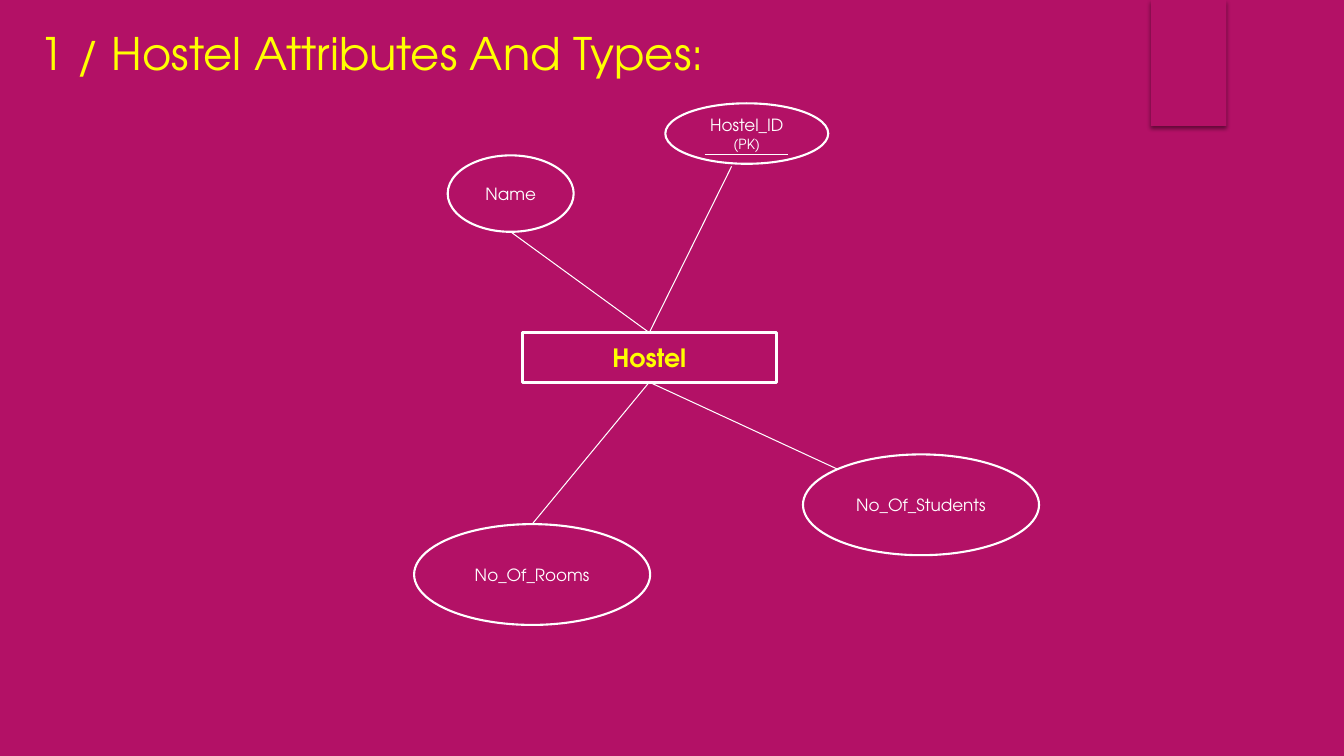
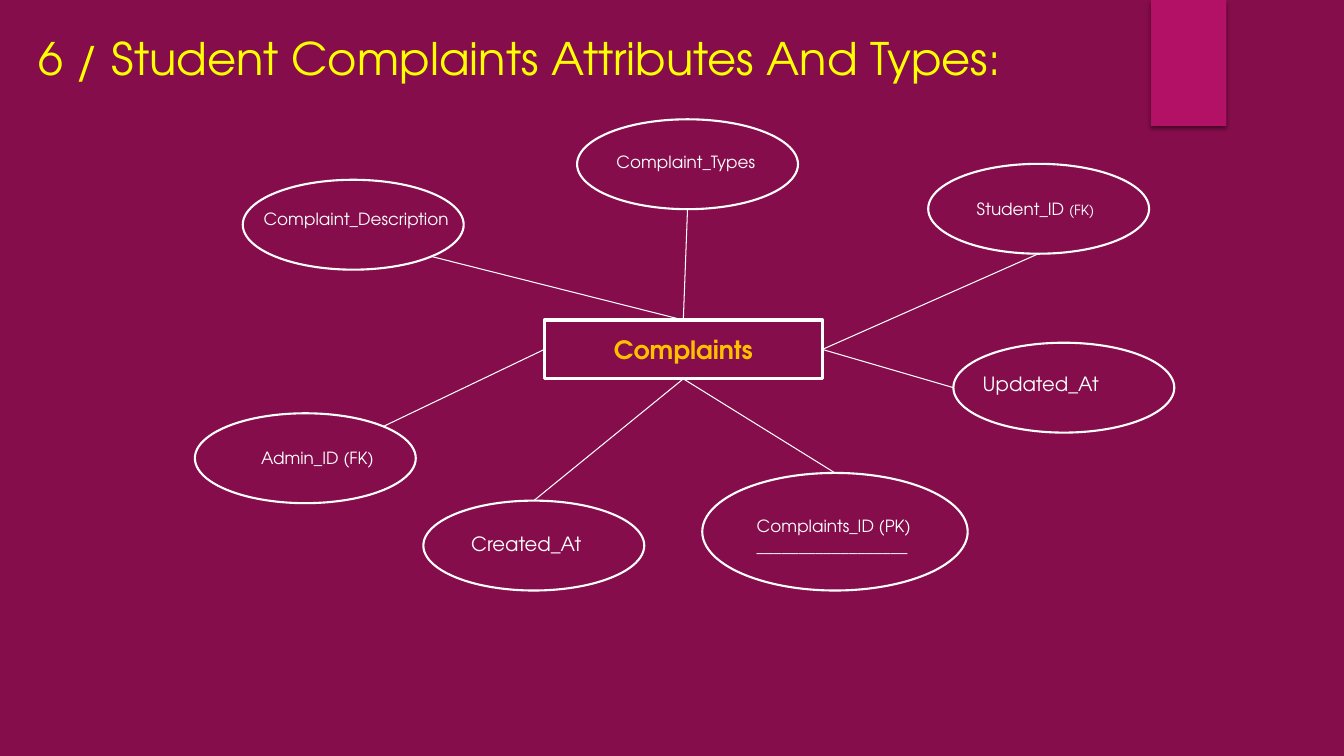
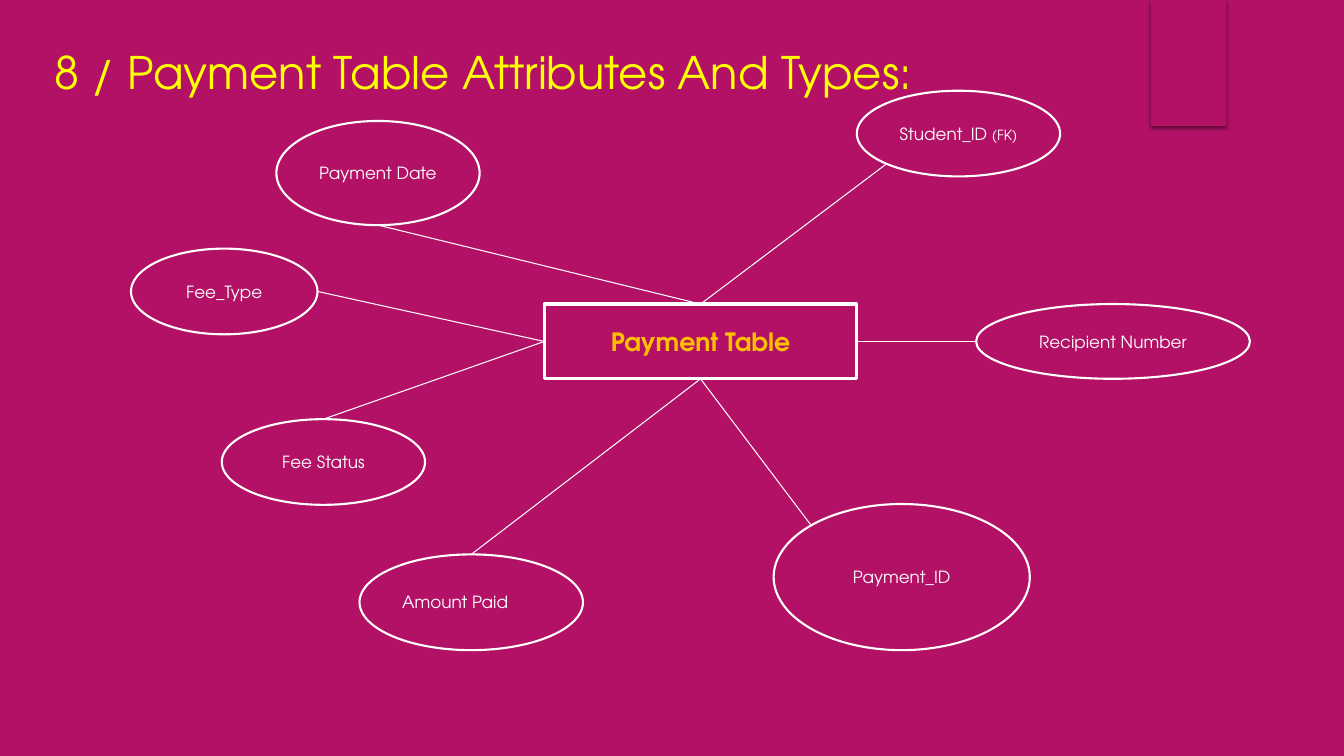
from dataclasses import dataclass
from math import cos, radians, sin

from lxml import etree
from pptx import Presentation
from pptx.dml.color import RGBColor
from pptx.enum.shapes import MSO_CONNECTOR, MSO_SHAPE
from pptx.enum.text import MSO_ANCHOR, PP_ALIGN
from pptx.oxml.ns import qn
from pptx.util import Inches, Pt

RECTANGLE, ELLIPSE = MSO_SHAPE.RECTANGLE, MSO_SHAPE.OVAL
STRAIGHT = MSO_CONNECTOR.STRAIGHT
MIDDLE = MSO_ANCHOR.MIDDLE
LEFT, CENTER = PP_ALIGN.LEFT, PP_ALIGN.CENTER

# Sides of the entity box, as connection sites
TOP_SIDE, LEFT_SIDE, BOTTOM_SIDE, RIGHT_SIDE = range(4)

# Places on an attribute's ellipse, in degrees clockwise from the right
EAST, SOUTH_EAST, SOUTH, SOUTH_WEST, WEST, NORTH_WEST, NORTH, NORTH_EAST = range(0, 360, 45)

SLIDE_WIDTH, SLIDE_HEIGHT = Inches(13.33), Inches(7.5)
COLUMNS, ROWS = 16, 9
RIBBON_BOX = (13.7, 0, 0.9, 1.5)


@dataclass(frozen=True)
class Theme:
    font: str = "TeX Gyre Adventor"
    magenta: str = "B31166"
    plum: str = "860D4C"
    yellow: str = "FFFF00"
    amber: str = "FFC000"
    white: str = "FFFFFF"
    title_size: int = 32
    entity_size: int = 18
    stamp_size: int = 14
    label_size: int = 12
    key_size: int = 10
    entity_line: float = 2.25
    attribute_line: float = 1.5
    link_line: float = 0.75


THEME = Theme()


@dataclass(frozen=True)
class Attribute:
    """An ellipse linked to the entity; label_box moves its text out of the centre."""
    label: str
    box: tuple
    side: int
    place: int
    key: str = ""
    label_box: tuple = None
    size: int = THEME.label_size
    spacing: float = 1.0
    align: int = CENTER
    link_end: tuple = None

    def end_point(self):
        if self.link_end:
            return self.link_end
        left, top, width, height = self.box
        angle = radians(self.place)
        return (left + width / 2 * (1 + cos(angle)),
                top + height / 2 * (1 + sin(angle)))


@dataclass(frozen=True)
class Diagram:
    background: str
    title: str
    title_box: tuple
    entity: str
    entity_box: tuple
    entity_color: str
    attributes: tuple
    underlines: tuple = ()


def col(count):
    return round(SLIDE_WIDTH * count / COLUMNS)


def row(count):
    return round(SLIDE_HEIGHT * count / ROWS)


def place(box):
    left, top, width, height = box
    return col(left), row(top), col(width), row(height)


def rgb(color):
    return RGBColor.from_string(color)


def style_run(run, size, color, bold=False):
    font = run.font
    font.name, font.size, font.bold = THEME.font, Pt(size), bold
    font.color.rgb = rgb(color)


def write(frame, text, size, color, bold=False, align=LEFT, key="", spacing=1.0):
    """Fill a text frame; key is a smaller run after the text."""
    frame.text = text
    if key:
        frame.paragraphs[-1].add_run().text = key
    for paragraph in frame.paragraphs:
        paragraph.alignment = align
        paragraph.line_spacing = spacing
        for run in paragraph.runs:
            style_run(run, size, color, bold)
    if key:
        frame.paragraphs[-1].runs[-1].font.size = Pt(THEME.key_size)


def add_text(slide, box, text, size, color, **style):
    frame = slide.shapes.add_textbox(*place(box)).text_frame
    frame.word_wrap = True
    write(frame, text, size, color, **style)


def add_outline(slide, kind, box, line_width):
    shape = slide.shapes.add_shape(kind, *place(box))
    shape.shadow.inherit = False
    shape.fill.background()
    shape.line.color.rgb = rgb(THEME.white)
    shape.line.width = Pt(line_width)
    shape.text_frame.vertical_anchor = MIDDLE
    return shape


def add_line(slide, start, end):
    line = slide.shapes.add_connector(
        STRAIGHT, col(start[0]), row(start[1]), col(end[0]), row(end[1]))
    line.line.color.rgb = rgb(THEME.white)
    line.line.width = Pt(THEME.link_line)
    etree.SubElement(line._element.spPr, qn("a:effectLst"))
    return line


def add_ribbon(slide):
    ribbon = slide.shapes.add_shape(RECTANGLE, *place(RIBBON_BOX))
    ribbon.fill.solid()
    ribbon.fill.fore_color.rgb = rgb(THEME.magenta)
    ribbon.line.fill.background()
    effects = etree.SubElement(ribbon._element.spPr, qn("a:effectLst"))
    shadow = etree.SubElement(effects, qn("a:outerShdw"), blurRad=str(Pt(3)),
                              dist=str(Pt(2)), dir="5400000", rotWithShape="0")
    black = etree.SubElement(shadow, qn("a:srgbClr"), val="000000")
    etree.SubElement(black, qn("a:alpha"), val="45000")


def add_attribute(slide, attribute, entity):
    ellipse = add_outline(slide, ELLIPSE, attribute.box, THEME.attribute_line)
    style = dict(key=attribute.key, spacing=attribute.spacing)
    if attribute.label_box:
        add_text(slide, attribute.label_box, attribute.label, attribute.size,
                 THEME.white, **style)
    else:
        write(ellipse.text_frame, attribute.label, attribute.size, THEME.white,
              align=attribute.align, **style)
    end = attribute.end_point()
    add_line(slide, (0, 0), end).begin_connect(entity, attribute.side)


def add_diagram(deck, diagram):
    slide = deck.slides.add_slide(deck.slide_layouts[6])
    slide.background.fill.solid()
    slide.background.fill.fore_color.rgb = rgb(diagram.background)
    add_ribbon(slide)
    add_text(slide, diagram.title_box, diagram.title, THEME.title_size, THEME.yellow)
    entity = add_outline(slide, RECTANGLE, diagram.entity_box, THEME.entity_line)
    write(entity.text_frame, diagram.entity, THEME.entity_size,
          diagram.entity_color, bold=True, align=CENTER)
    for attribute in diagram.attributes:
        add_attribute(slide, attribute, entity)
    for start, end in diagram.underlines:
        add_line(slide, start, end)


def complaint_box(left, top):
    return left, top, 2.63, 1.07


def time_stamp(label, box, label_corner, place_on_ellipse, side):
    return Attribute(label, box, side, place_on_ellipse,
                     label_box=(*label_corner, 2.2, 0.49),
                     size=THEME.stamp_size, spacing=1.5)


HOSTEL = Diagram(
    THEME.magenta, "1 / Hostel Attributes And Types:", (0.35, 0.25, 9.48, 0.77),
    "Hostel", (6.22, 3.96, 3.02, 0.59), THEME.yellow,
    (
        Attribute("Name", (5.33, 1.85, 1.5, 0.91), TOP_SIDE, SOUTH),
        Attribute("Hostel_ID ", (7.92, 1.23, 1.94, 0.72), TOP_SIDE, SOUTH,
                  key="(PK)", link_end=(8.71, 1.98)),
        Attribute("No_Of_Rooms", (4.93, 6.24, 2.81, 1.2), BOTTOM_SIDE, NORTH),
        Attribute("No_Of_Students", (9.56, 5.41, 2.81, 1.2), BOTTOM_SIDE, NORTH_WEST),
    ),
    underlines=(((8.39, 1.84), (9.38, 1.84)),),
)

COMPLAINTS = Diagram(
    THEME.plum, "6 / Student Complaints Attributes And Types:", (0.34, 0.31, 12.02, 0.77),
    "Complaints", (6.48, 3.81, 3.31, 0.7), THEME.amber,
    (
        Attribute("Complaint_Description", complaint_box(2.89, 2.14), TOP_SIDE,
                  SOUTH_EAST, label_box=(3.02, 2.43, 2.7, 0.36)),
        Attribute("Complaint_Types", complaint_box(6.87, 1.42), TOP_SIDE,
                  SOUTH, label_box=(7.22, 1.75, 2.2, 0.36)),
        Attribute("Student_ID ", complaint_box(11.05, 1.95), RIGHT_SIDE,
                  SOUTH, key="(FK)", label_box=(11.51, 2.31, 2, 0.36)),
        time_stamp("Updated_At", complaint_box(11.35, 4.08), (11.58, 4.23),
                   WEST, RIGHT_SIDE),
        Attribute("Complaints_ID (PK)\n__________________", (8.36, 5.63, 3.16, 1.4),
                  BOTTOM_SIDE, NORTH, label_box=(8.89, 6.08, 2.4, 0.6)),
        time_stamp("Created_At", complaint_box(5.04, 5.96), (5.49, 6.13),
                   NORTH, BOTTOM_SIDE),
        Attribute("Admin_ID (FK)", complaint_box(2.32, 4.92), LEFT_SIDE,
                  NORTH_EAST, label_box=(2.99, 5.27, 1.9, 0.36)),
    ),
)

PAYMENT = Diagram(
    THEME.magenta, "8 / Payment Table Attributes And Types:", (0.53, 0.47, 12.2, 0.77),
    "Payment Table", (6.48, 3.62, 3.72, 0.89), THEME.amber,
    (
        Attribute("Payment Date", (3.29, 1.44, 2.42, 1.24), TOP_SIDE, SOUTH),
        Attribute("Student_ID ", (10.2, 1.08, 2.42, 1.02), TOP_SIDE, SOUTH_WEST,
                  key="(FK)"),
        Attribute("Recipient Number", (11.62, 3.62, 3.26, 0.89), RIGHT_SIDE, WEST),
        Attribute("Payment_ID", (9.21, 6, 3.05, 1.74), BOTTOM_SIDE, NORTH_WEST),
        Attribute("Amount Paid", (4.28, 6.6, 2.66, 1.14), BOTTOM_SIDE, NORTH,
                  align=LEFT),
        Attribute("Fee Status", (2.64, 4.99, 2.42, 1.02), LEFT_SIDE, NORTH),
        Attribute("Fee_Type", (1.56, 2.96, 2.22, 1.02), LEFT_SIDE, EAST),
    ),
)


def main():
    deck = Presentation()
    deck.slide_width, deck.slide_height = SLIDE_WIDTH, SLIDE_HEIGHT
    for diagram in (HOSTEL, COMPLAINTS, PAYMENT):
        add_diagram(deck, diagram)
    deck.save("out.pptx")


if __name__ == "__main__":
    main()
